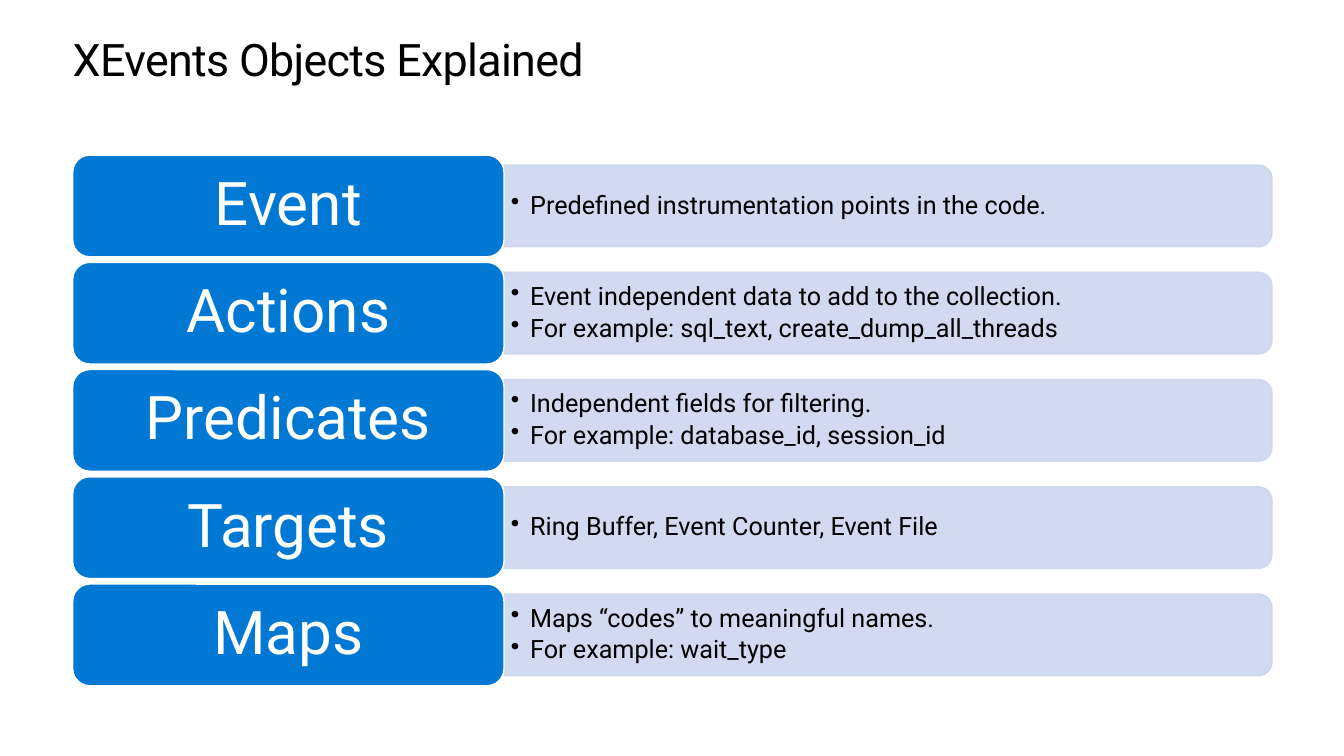
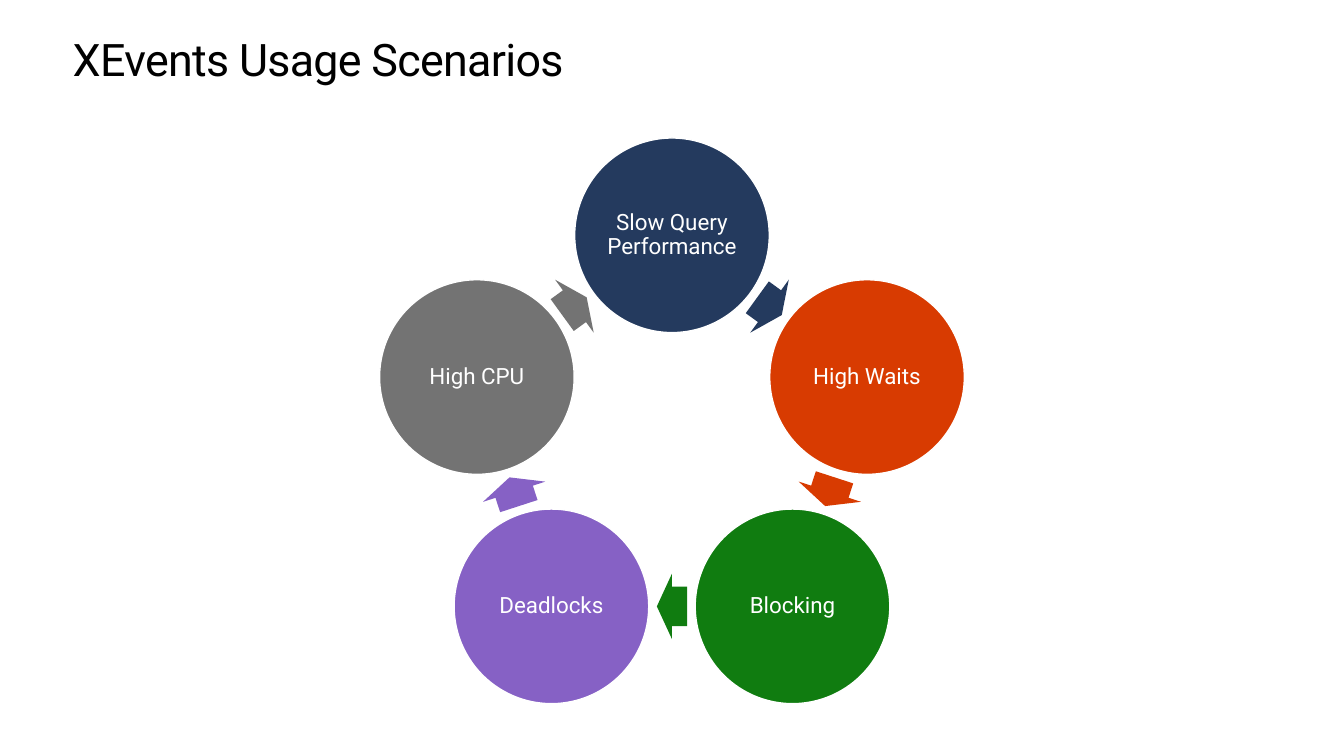
import math

import lxml.etree
import pptx
import pptx.dml.color
import pptx.enum.shapes
import pptx.enum.text
import pptx.oxml.ns
import pptx.util

Pt = pptx.util.Pt
qn = pptx.oxml.ns.qn
SHAPE = pptx.enum.shapes.MSO_SHAPE
ALIGN = pptx.enum.text.PP_ALIGN

FONT = "Roboto"
COLORS = {
    "black": "000000",
    "white": "FFFFFF",
    "blue": "0078D4",
    "pale": "CCD6EF",
    "navy": "243A5E",
    "orange": "D83B01",
    "green": "107C10",
    "purple": "8661C5",
    "gray": "737373",
}

LEFT = 52
LABEL_W, LABEL_H = 308, 72.6
ROWS_TOP, ROW_PITCH = 110.8, 76.6
BAR_W, BAR_H = 548.6, 58.4
BULLET_INDENT = 13.7

RING_X, RING_Y, RING_R = 480, 314.6, 146.5
CIRCLE_D = 139
ARROW_W, ARROW_H = 21.6, 46.8

OBJECTS = [
    ("Event", ["Predefined instrumentation points in the code."]),
    ("Actions", ["Event independent data to add to the collection.",
                 "For example: sql_text, create_dump_all_threads"]),
    ("Predicates", ["Independent fields for filtering.",
                    "For example: database_id, session_id"]),
    ("Targets", ["Ring Buffer, Event Counter, Event File"]),
    ("Maps", ["Maps “codes” to meaningful names.",
              "For example: wait_type"]),
]

SCENARIOS = [
    ("Slow Query Performance", "navy"),
    ("High Waits", "orange"),
    ("Blocking", "green"),
    ("Deadlocks", "purple"),
    ("High CPU", "gray"),
]


def rgb(name):
    return pptx.dml.color.RGBColor.from_string(COLORS[name])


def add_shape(slide, kind, cx, cy, w, h, fill, line=None, rotation=0):
    sp = slide.shapes.add_shape(kind, Pt(cx - w / 2), Pt(cy - h / 2), Pt(w), Pt(h))
    sp.shadow.inherit = False
    sp.rotation = rotation
    sp.fill.solid()
    sp.fill.fore_color.rgb = rgb(fill)
    if line:
        sp.line.color.rgb = rgb(line)
        sp.line.width = Pt(1)
    else:
        sp.line.fill.background()
    return sp


def add_textbox(slide, x, y, w, h):
    return slide.shapes.add_textbox(Pt(x), Pt(y), Pt(w), Pt(h))


def set_text(sp, lines, size, color, align, margins, spacing=0.9):
    tf = sp.text_frame
    tf.word_wrap = True
    tf.vertical_anchor = pptx.enum.text.MSO_ANCHOR.MIDDLE
    tf.margin_left = tf.margin_right = Pt(margins[0])
    tf.margin_top = tf.margin_bottom = Pt(margins[1])
    tf.text = "\n".join(lines)
    for p in tf.paragraphs:
        p.alignment = align
        p.line_spacing = spacing
        for r in p.runs:
            r.font.name = FONT
            r.font.size = Pt(size)
            r.font.color.rgb = rgb(color)
    return tf


def set_alpha(sp, percent):
    for color in sp._element.spPr.iter(qn("a:srgbClr")):
        alpha = lxml.etree.SubElement(color, qn("a:alpha"))
        alpha.set("val", str(percent * 1000))


def add_bullet(p):
    p.space_after = Pt(3.2)
    pPr = p._p.get_or_add_pPr()
    pPr.set("marL", str(Pt(BULLET_INDENT)))
    pPr.set("indent", str(-Pt(BULLET_INDENT)))
    lxml.etree.SubElement(pPr, qn("a:buChar")).set("char", "•")


def add_titled_slide(prs, title):
    slide = prs.slides.add_slide(prs.slide_layouts[6])
    sp = add_textbox(slide, LEFT, 25.2, 856.8, 36.2)
    tf = set_text(sp, [title], 32, "black", ALIGN.LEFT, (0, 0), Pt(36.2))
    tf.vertical_anchor = pptx.enum.text.MSO_ANCHOR.TOP
    for r in tf.paragraphs[0].runs:
        r._r.get_or_add_rPr().set("spc", "-50")
    return slide


def add_object_row(slide, cy, name, details):
    bar_left = LEFT + LABEL_W
    bar = add_shape(slide, SHAPE.ROUND_2_SAME_RECTANGLE, bar_left + BAR_W / 2, cy,
                    BAR_H, BAR_W, "pale", "pale", 90)
    set_alpha(bar, 90)
    box = add_textbox(slide, bar_left, cy - 26.3, BAR_W - 2.8, 52.6)
    tf = set_text(box, details, 18, "black", ALIGN.LEFT, (5, 2.9))
    for p in tf.paragraphs:
        add_bullet(p)
    label = add_shape(slide, SHAPE.ROUNDED_RECTANGLE, LEFT + LABEL_W / 2, cy,
                      LABEL_W, LABEL_H, "blue", "white")
    set_text(label, [name], 43, "white", ALIGN.CENTER, (13, 6.5))


def add_cycle(slide, steps):
    turn = 360 / len(steps)
    mid_radius = RING_R * math.cos(math.radians(turn / 2))

    def ring_point(radius, degrees):
        a = math.radians(degrees)
        return RING_X + radius * math.sin(a), RING_Y - radius * math.cos(a)

    for i, (name, color) in enumerate(steps):
        circle = add_shape(slide, SHAPE.OVAL, *ring_point(RING_R, i * turn),
                           CIRCLE_D, CIRCLE_D, color, "white")
        set_text(circle, [name], 16, "white", ALIGN.CENTER, (1.5, 1.5))
        angle = (i + 0.5) * turn
        arrow = add_shape(slide, SHAPE.RIGHT_ARROW, *ring_point(mid_radius, angle),
                          ARROW_W, ARROW_H, color, rotation=angle)
        arrow.adjustments[0] = 0.6
        arrow.adjustments[1] = 0.5


def main():
    prs = pptx.Presentation()
    prs.slide_width, prs.slide_height = Pt(960), Pt(540)

    slide = add_titled_slide(prs, "XEvents Objects Explained")
    for i, (name, details) in enumerate(OBJECTS):
        add_object_row(slide, ROWS_TOP + LABEL_H / 2 + i * ROW_PITCH, name, details)

    slide = add_titled_slide(prs, "XEvents Usage Scenarios")
    add_cycle(slide, SCENARIOS)

    prs.save("out.pptx")


if __name__ == "__main__":
    main()
